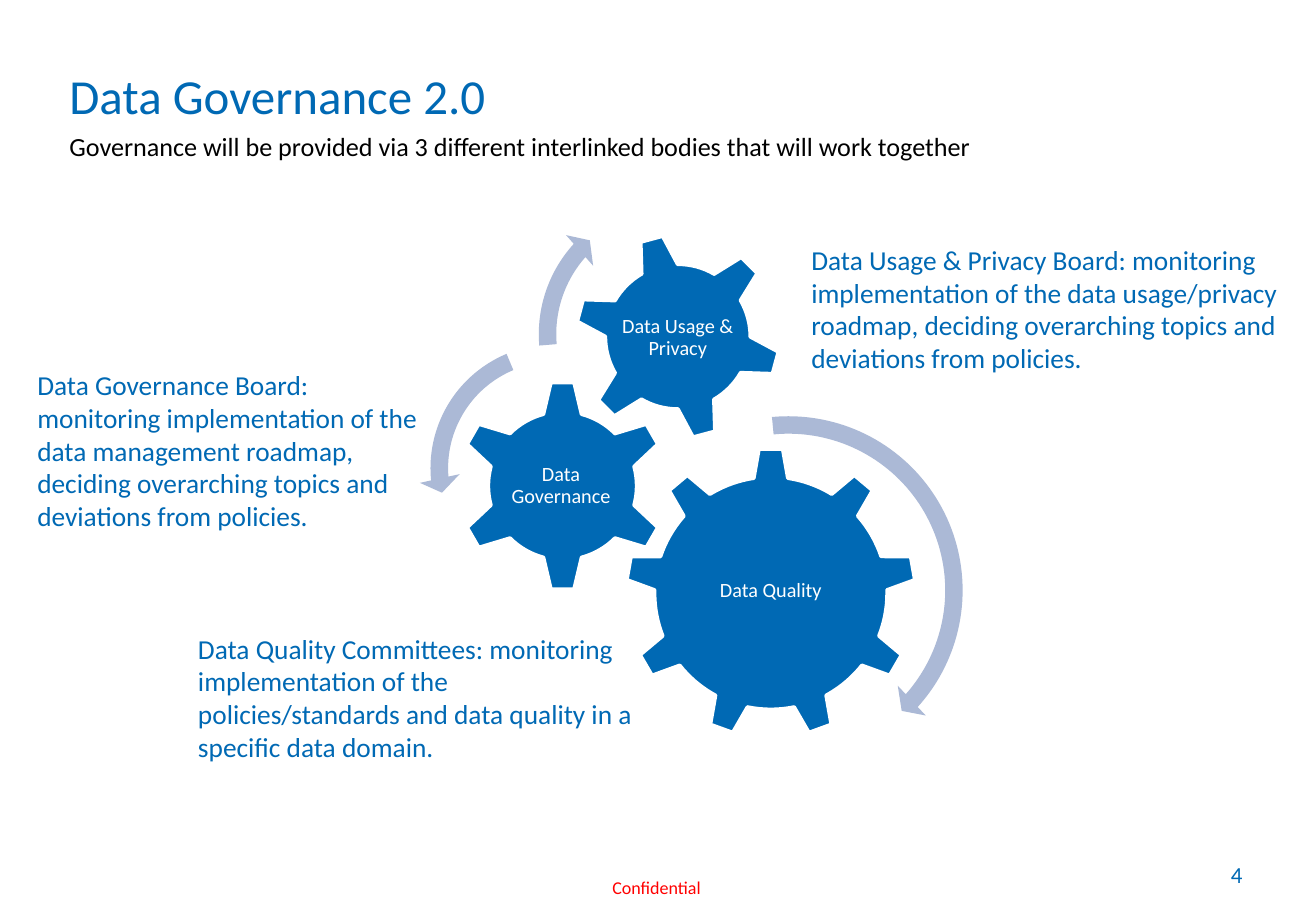
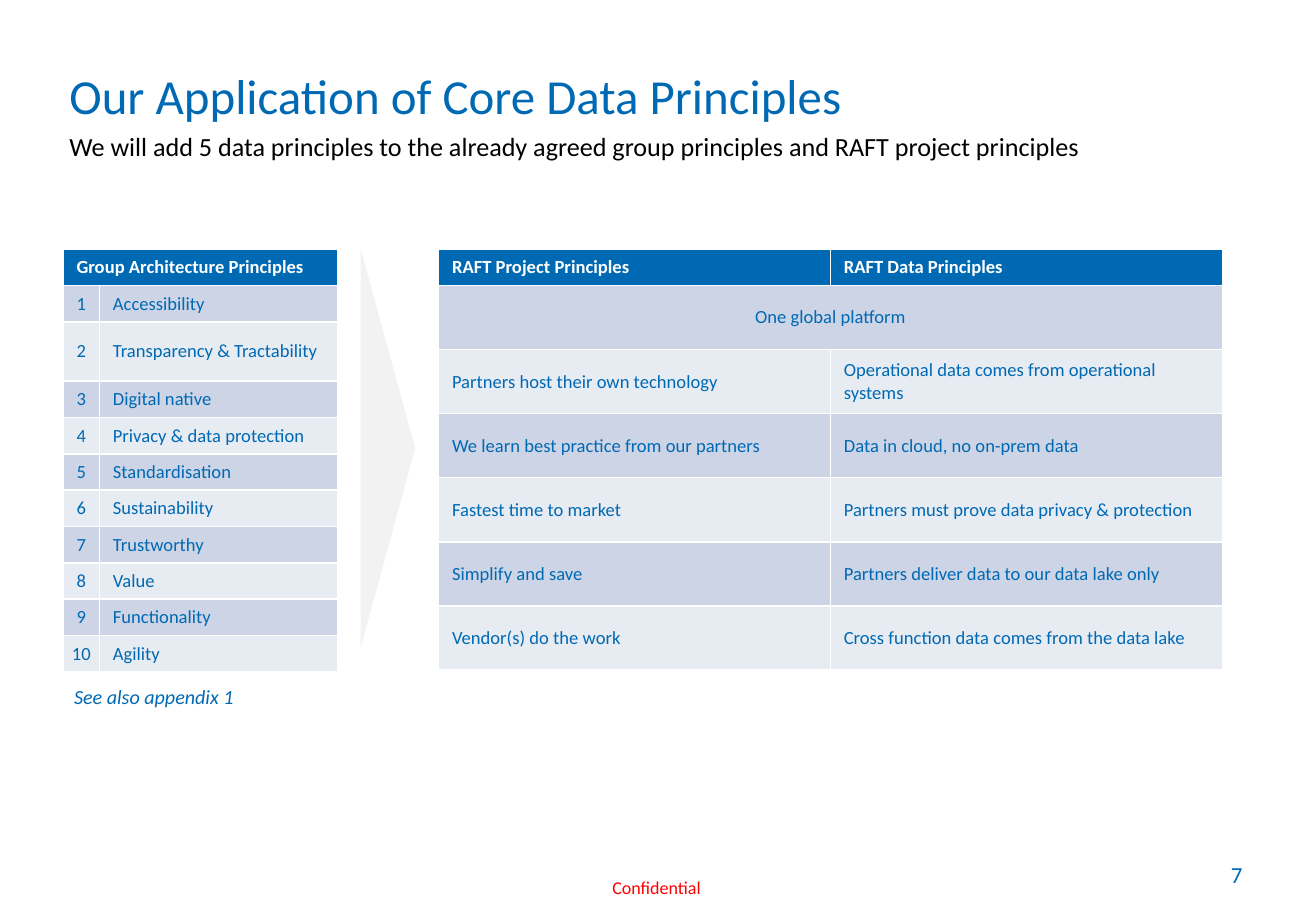
from lxml import etree
from pptx import Presentation
from pptx.dml.color import RGBColor
from pptx.enum.shapes import MSO_SHAPE
from pptx.enum.text import MSO_ANCHOR, MSO_AUTO_SIZE, PP_ALIGN
from pptx.oxml.ns import qn
from pptx.util import Cm, Pt

GEAR_6, GEAR_9 = MSO_SHAPE.GEAR_6, MSO_SHAPE.GEAR_9
ARROW, LEFT_ARROW = MSO_SHAPE.CIRCULAR_ARROW, MSO_SHAPE.LEFT_CIRCULAR_ARROW
PENTAGON = MSO_SHAPE.PENTAGON
TOP, MIDDLE, BOTTOM = MSO_ANCHOR.TOP, MSO_ANCHOR.MIDDLE, MSO_ANCHOR.BOTTOM
LEFT, CENTER = PP_ALIGN.LEFT, PP_ALIGN.CENTER
NO_AUTOFIT = MSO_AUTO_SIZE.NONE

FONT = "Calibri"
BLUE, WHITE, BLACK, RED = "0069B4", "FFFFFF", "000000", "FF0000"
ARROW_BLUE, PALE_GREY = "ABB9D6", "F2F2F2"
BANDS = ("CCD4E5", "E7EBF2")


def color(value):
    return RGBColor.from_string(value)


class DeckBuilder:
    def __init__(self):
        self.deck = Presentation()
        self.deck.slide_width, self.deck.slide_height = Cm(27.51), Cm(19.05)
        self.page = None

    def new_page(self, title, subtitle, number):
        self.page = self.deck.slides.add_slide(self.deck.slide_layouts[1])
        heading, body = self.page.placeholders
        self.place(heading, (1.45, 1.19, 24.61, 1.42))
        self.fill_frame(heading.text_frame, title, 29, anchor=BOTTOM, spacing=Pt(32.9))
        self.place(body, (1.45, 2.77, 24.61, 0.81))
        properties = body.text_frame.paragraphs[0]._p.get_or_add_pPr()
        properties.set("marL", "0")
        properties.set("indent", "0")
        etree.SubElement(properties, qn("a:buNone"))
        self.fill_frame(body.text_frame, subtitle, 15.5, BLACK, spacing=Pt(17.4))
        self.text((25.73, 17.88, 1.25, 0.69), str(number), 13.6, anchor=BOTTOM, spacing=0.9)
        self.text((12.8, 18.24, 1.88, 0.53), "Confidential", 10.7, RED,
                  spacing=Pt(15.5), wrap=False)

    def place(self, shape, area):
        shape.left, shape.top, shape.width, shape.height = map(Cm, area)

    def format(self, para, text, size, ink=BLUE, align=LEFT, bold=False, italic=False,
               spacing=1.0):
        para.text = text
        para.alignment = align
        para.line_spacing = spacing
        para.space_before = Pt(0)
        font = para.font
        font.name, font.size = FONT, Pt(size)
        font.bold, font.italic = bold, italic
        font.color.rgb = color(ink)

    def fill_frame(self, frame, text, size, ink=BLUE, anchor=TOP, margins=(0, 0),
                   wrap=True, **style):
        frame.auto_size = NO_AUTOFIT
        frame.word_wrap = wrap
        frame.vertical_anchor = anchor
        frame.margin_left = frame.margin_right = Cm(margins[0])
        frame.margin_top = frame.margin_bottom = Cm(margins[1])
        self.format(frame.paragraphs[0], text, size, ink, **style)

    def text(self, area, text, size, ink=BLUE, **style):
        box = self.page.shapes.add_textbox(*map(Cm, area))
        self.fill_frame(box.text_frame, text, size, ink, **style)

    def shape(self, kind, area, fill, adjustments=(), outline=None, rotation=0):
        shape = self.page.shapes.add_shape(kind, *map(Cm, area))
        shape.shadow.inherit = False
        shape.rotation = rotation
        shape.fill.solid()
        shape.fill.fore_color.rgb = color(fill)
        if outline:
            shape.line.color.rgb = color(outline)
            shape.line.width = Pt(2)
        else:
            shape.line.fill.background()
        for index, value in enumerate(adjustments):
            shape.adjustments[index] = value

    def gear(self, kind, area, label_area, label, rotation=0):
        self.shape(kind, area, BLUE, outline=WHITE, rotation=rotation)
        self.text(label_area, label, 12, WHITE, anchor=MIDDLE, margins=(0.05, 0.05),
                  align=CENTER, spacing=0.9)

    def table(self, left, top, widths, heights, rows, merged_row, numbered=False):
        table = self.page.shapes.add_table(
            len(rows), len(widths), Cm(left), Cm(top), Cm(sum(widths)), Cm(sum(heights))).table
        for column, width in zip(table.columns, widths):
            column.width = Cm(width)
        for row, height in zip(table.rows, heights):
            row.height = Cm(height)
        table.cell(merged_row, 0).merge(table.cell(merged_row, 1))
        for row_index, texts in enumerate(rows):
            header = row_index == 0
            for column_index, text in enumerate(texts):
                cell = table.cell(row_index, column_index)
                is_number = numbered and not header and column_index == 0
                centered = is_number or (row_index == merged_row and not header)
                cell.fill.solid()
                cell.fill.fore_color.rgb = color(BLUE if header else BANDS[(row_index - 1) % 2])
                cell.vertical_anchor = MIDDLE
                cell.margin_left = cell.margin_right = Cm(0.13 if is_number else 0.28)
                self.format(cell.text_frame.paragraphs[0], text, 11, WHITE if header else BLUE,
                            align=CENTER if centered else LEFT, bold=header)


def governance_page(builder):
    builder.new_page(
        "Data Governance 2.0",
        "Governance will be provided via 3 different interlinked bodies that will work together",
        4)
    builder.gear(GEAR_9, (13.08, 9.37, 6.07, 6.07), (14.3, 10.8, 3.63, 3.12), "Data Quality")
    builder.gear(GEAR_6, (9.55, 7.95, 4.42, 4.42), (10.64, 9.07, 2.18, 2.18),
                 "Data Governance")
    builder.gear(GEAR_6, (12.01, 4.88, 4.32, 4.32), (12.95, 5.84, 2.44, 2.44),
                 "Data Usage & Privacy", rotation=345)
    arrows = (
        (ARROW, 12.6, 8.46, 7.77, (0.047, 2.99, 25.109, 158.727, 0.055)),
        (LEFT_ARROW, 8.76, 6.96, 5.66, (0.065, 4.3, 104.891, 148.378, 0.075)),
        (ARROW, 11.02, 3.94, 6.1, (0.06, 3.941, 133.138, 105.082, 0.07)),
    )
    for kind, left, top, size, adjustments in arrows:
        builder.shape(kind, (left, top, size, size), ARROW_BLUE, adjustments)
    descriptions = (
        ((0.53, 7.57, 8.51, 3.73),
         "Data Governance Board: monitoring implementation of the data management roadmap, "
         "deciding overarching topics and deviations from policies."),
        ((16.71, 4.95, 10.36, 3.02),
         "Data Usage & Privacy Board: monitoring implementation of the data usage/privacy "
         "roadmap, deciding overarching topics and deviations from policies."),
        ((3.89, 13.08, 9.86, 3.02),
         "Data Quality Committees: monitoring implementation of the policies/standards and "
         "data quality in a specific data domain."),
    )
    for area, text in descriptions:
        builder.text(area, text, 16.2, margins=(0.25, 0.13))


def principles_page(builder):
    builder.new_page(
        "Our Application of Core Data Principles",
        "We will add 5 data principles to the already agreed group principles and RAFT project "
        "principles",
        7)
    raft_rows = (
        ("RAFT Project Principles", "RAFT Data Principles"),
        ("One global platform",),
        ("Partners host their own technology", "Operational data comes from operational systems"),
        ("We learn best practice from our partners", "Data in cloud, no on-prem data"),
        ("Fastest time to market", "Partners must prove data privacy & protection"),
        ("Simplify and save", "Partners deliver data to our data lake only"),
        ("Vendor(s) do the work", "Cross function data comes from the data lake"),
    )
    builder.table(9.17, 5.21, (8.19, 8.19), (0.76,) + (1.34,) * 6, raft_rows, merged_row=1)
    principles = (
        "Accessibility", "Transparency & Tractability", "Digital native",
        "Privacy & data protection", "Standardisation", "Sustainability", "Trustworthy",
        "Value", "Functionality", "Agility",
    )
    group_rows = [("Group Architecture Principles",)]
    group_rows += [(str(number), name) for number, name in enumerate(principles, 1)]
    builder.table(1.32, 5.21, (0.76, 4.98), (0.76, 0.76, 1.24) + (0.76,) * 8, group_rows,
                  merged_row=0, numbered=True)
    builder.shape(PENTAGON, (7.54, 5.21, 1.14, 8.33), PALE_GREY, (1,))
    builder.text((1.55, 14.2, 3.38, 0.61), "See also appendix 1", 11.9, italic=True,
                 spacing=Pt(17.3), wrap=False)


def main():
    builder = DeckBuilder()
    governance_page(builder)
    principles_page(builder)
    builder.deck.save("out.pptx")


if __name__ == "__main__":
    main()
